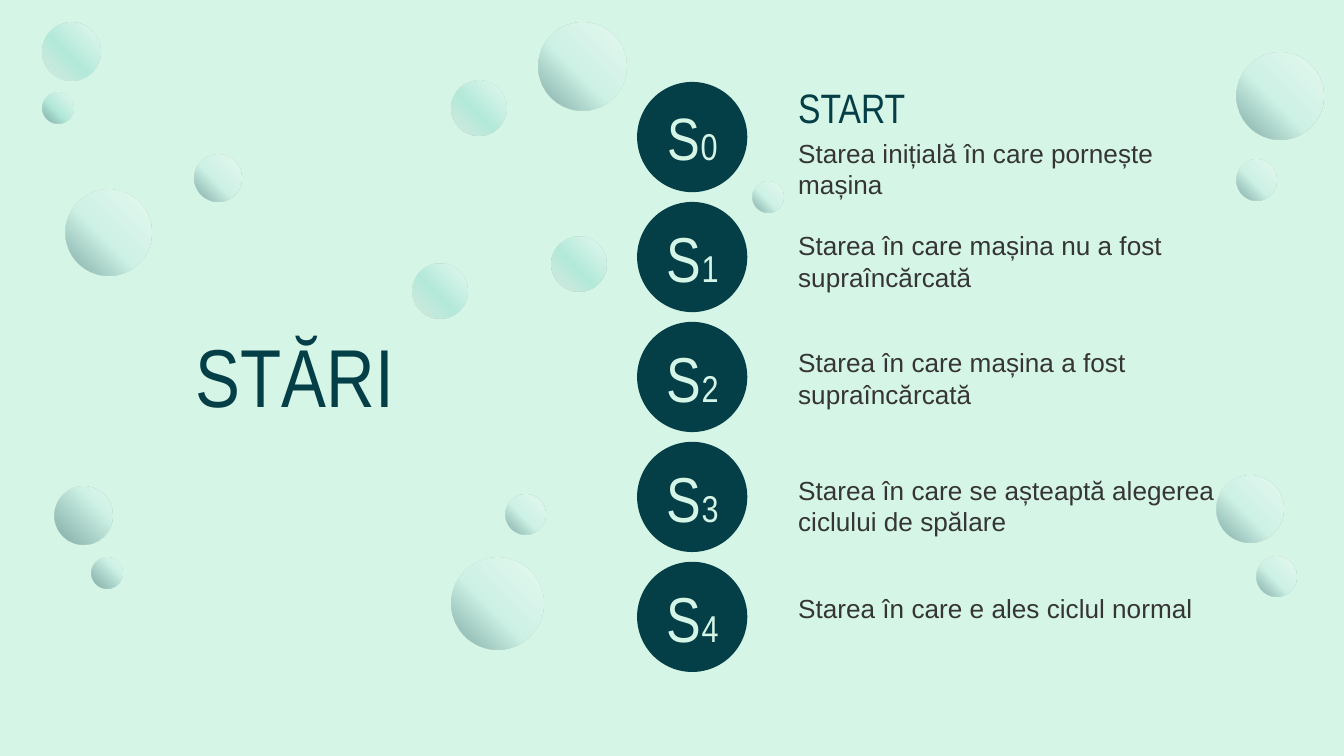
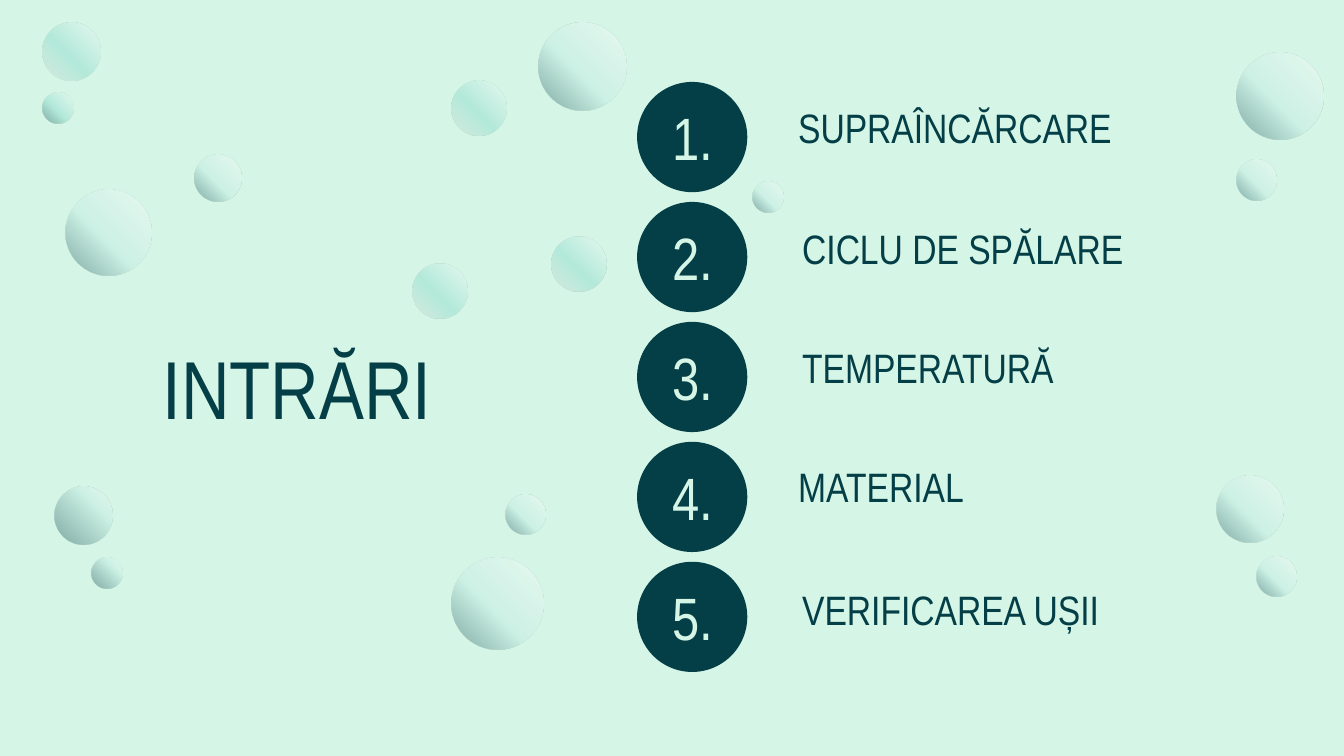
from dataclasses import dataclass

from pptx import Presentation
from pptx.dml.color import RGBColor
from pptx.enum.shapes import MSO_SHAPE
from pptx.enum.text import MSO_ANCHOR, PP_ALIGN
from pptx.oxml import parse_xml
from pptx.oxml.ns import nsdecls
from pptx.util import Inches, Pt

OVAL = MSO_SHAPE.OVAL
MIDDLE, TOP = MSO_ANCHOR.MIDDLE, MSO_ANCHOR.TOP
CENTER, LEFT = PP_ALIGN.CENTER, PP_ALIGN.LEFT


@dataclass(frozen=True)
class Theme:
    mint: str = "D5F5E6"
    teal: str = "043E47"
    body: str = "353535"
    display_font: str = "Arial Narrow"
    body_font: str = "Arial"
    title_size: int = 44
    number_size: int = 32
    state_size: int = 34
    index_size: int = 20
    heading_size: int = 22
    body_size: int = 14
    bubble_opacity: int = 41


THEME = Theme()

# Gradient stops of each bubble finish: (percent, colour)
PALE = ((0, "FFFFFF"), (56, "C1ECE4"), (100, THEME.teal))
DEEP = ((0, "FFFFFF"), (31, "C1ECE4"), (100, THEME.teal))
GREEN = ((0, "FFFFFF"), (56, "82D9C8"), (100, THEME.teal))
SILVER = ((0, "FFFFFF"), (56, "82D9C8"), (100, "D9D9D9"))

# Left, top, diameter, finish
BUBBLES = (
    (9.35, 4.14, 0.3, PALE),
    (9.05, 3.54, 0.5, PALE),
    (9.2, 0.39, 0.65, PALE),
    (9.2, 1.19, 0.3, PALE),
    (4.01, 0.17, 0.65, PALE),
    (0.32, 0.69, 0.23, GREEN),
    (0.32, 0.17, 0.43, SILVER),
    (0.41, 3.62, 0.43, DEEP),
    (0.68, 4.15, 0.23, DEEP),
    (3.07, 1.96, 0.41, SILVER),
    (3.36, 0.6, 0.41, SILVER),
    (3.76, 3.68, 0.3, PALE),
    (5.6, 1.35, 0.23, PALE),
    (3.36, 4.15, 0.68, PALE),
    (1.45, 1.15, 0.35, PALE),
    (0.49, 1.41, 0.64, PALE),
    (4.1, 1.76, 0.41, SILVER),
)

BADGE_COLUMN = (4.74, 0.61, 0.82, 4.39)
ENTRY_LEFT, ENTRY_WIDTH = 5.84, 3.38
HEADING_HEIGHT, BODY_HEIGHT = 0.49, 0.57


def add_circle(slide, left, top, diameter, color):
    shape = slide.shapes.add_shape(
        OVAL, Inches(left), Inches(top), Inches(diameter), Inches(diameter)
    )
    shape.shadow.inherit = False
    shape.fill.solid()
    shape.fill.fore_color.rgb = RGBColor.from_string(color)
    shape.line.fill.background()
    return shape


def add_bubble(slide, left, top, diameter, stops):
    """Draw a translucent circle lit from its top right corner."""
    shape = add_circle(slide, left, top, diameter, THEME.mint)
    stop_xml = "".join(
        f'<a:gs pos="{percent * 1000}"><a:srgbClr val="{color}">'
        f'<a:alpha val="{THEME.bubble_opacity * 1000}"/></a:srgbClr></a:gs>'
        for percent, color in stops
    )
    gradient = parse_xml(
        f'<a:gradFill {nsdecls("a")} rotWithShape="1"><a:gsLst>{stop_xml}</a:gsLst>'
        '<a:path path="circle"><a:fillToRect l="100000" b="100000"/></a:path>'
        "</a:gradFill>"
    )
    properties = shape.element.spPr
    properties.replace(properties.solidFill, gradient)


def add_text(slide, box, runs, font, color, insets=(0.1, 0.1), anchor=TOP, align=LEFT):
    """Add one paragraph; runs are (text, size), insets are (sides, top and bottom)."""
    text_frame = slide.shapes.add_textbox(*map(Inches, box)).text_frame
    text_frame.word_wrap = True
    text_frame.margin_left = text_frame.margin_right = Inches(insets[0])
    text_frame.margin_top = text_frame.margin_bottom = Inches(insets[1])
    text_frame.vertical_anchor = anchor
    paragraph = text_frame.paragraphs[0]
    paragraph.alignment = align
    for text, size in runs:
        run = paragraph.add_run()
        run.text = text
        run.font.size = Pt(size)
        run.font.name = font
        run.font.color.rgb = RGBColor.from_string(color)


def add_badges(slide, box, labels):
    """Spread one labelled circle per label evenly down the box."""
    left, top, diameter, height = box
    pitch = (height - diameter) / (len(labels) - 1)
    for row, runs in enumerate(labels):
        badge_top = top + row * pitch
        add_circle(slide, left, badge_top, diameter, THEME.teal)
        label_box = (left + 0.03, badge_top + 0.05, diameter - 0.05, diameter - 0.1)
        add_text(slide, label_box, runs, THEME.display_font, THEME.mint,
                 insets=(0, 0.1), anchor=MIDDLE, align=CENTER)


def add_heading(slide, left, top, text):
    add_text(slide, (left, top, ENTRY_WIDTH, HEADING_HEIGHT),
             [(text, THEME.heading_size)], THEME.display_font, THEME.teal)


def add_description(slide, top, text):
    add_text(slide, (ENTRY_LEFT, top, ENTRY_WIDTH, BODY_HEIGHT),
             [(text, THEME.body_size)], THEME.body_font, THEME.body)


def add_list_slide(presentation, title, title_box, labels):
    """Add a slide with bubbles, a title on the left and a column of badges."""
    slide = presentation.slides.add_slide(presentation.slide_layouts[6])
    background = slide.background.fill
    background.solid()
    background.fore_color.rgb = RGBColor.from_string(THEME.mint)
    for bubble in BUBBLES:
        add_bubble(slide, *bubble)
    add_badges(slide, BADGE_COLUMN, labels)
    add_text(slide, title_box, [(title, THEME.title_size)],
             THEME.display_font, THEME.teal, insets=(0.1, 0.05))
    return slide


def add_states_slide(presentation):
    descriptions = (
        (0.92, "Starea inițială în care pornește mașina"),
        (1.61, "Starea în care mașina nu a fost supraîncărcată"),
        (2.48, "Starea în care mașina a fost supraîncărcată"),
        (3.43, "Starea în care se așteaptă alegerea ciclului de spălare"),
        (4.31, "Starea în care e ales ciclul normal"),
    )
    labels = [
        [("S", THEME.state_size if state else THEME.number_size),
         (str(state), THEME.index_size)]
        for state in range(len(descriptions))
    ]
    slide = add_list_slide(presentation, "STĂRI", (1.36, 2.37, 2.46, 0.84), labels)
    add_heading(slide, ENTRY_LEFT, 0.51, "START")
    for top, text in descriptions:
        add_description(slide, top, text)


def add_inputs_slide(presentation):
    indented = ENTRY_LEFT + 0.03
    headings = (
        (ENTRY_LEFT, 0.66, "SUPRAÎNCĂRCARE"),
        (indented, 1.56, "CICLU DE SPĂLARE"),
        (indented, 2.45, "TEMPERATURĂ"),
        (ENTRY_LEFT, 3.33, "MATERIAL"),
        (indented, 4.25, "VERIFICAREA UȘII"),
    )
    labels = [
        [(f"{number}.", THEME.number_size)] for number in range(1, len(headings) + 1)
    ]
    slide = add_list_slide(presentation, "INTRĂRI", (1.11, 2.46, 3.53, 0.84), labels)
    for heading in headings:
        add_heading(slide, *heading)


def main():
    presentation = Presentation()
    presentation.slide_width = Inches(10)
    presentation.slide_height = Inches(10 * 9 / 16)
    add_states_slide(presentation)
    add_inputs_slide(presentation)
    presentation.save("out.pptx")


if __name__ == "__main__":
    main()
